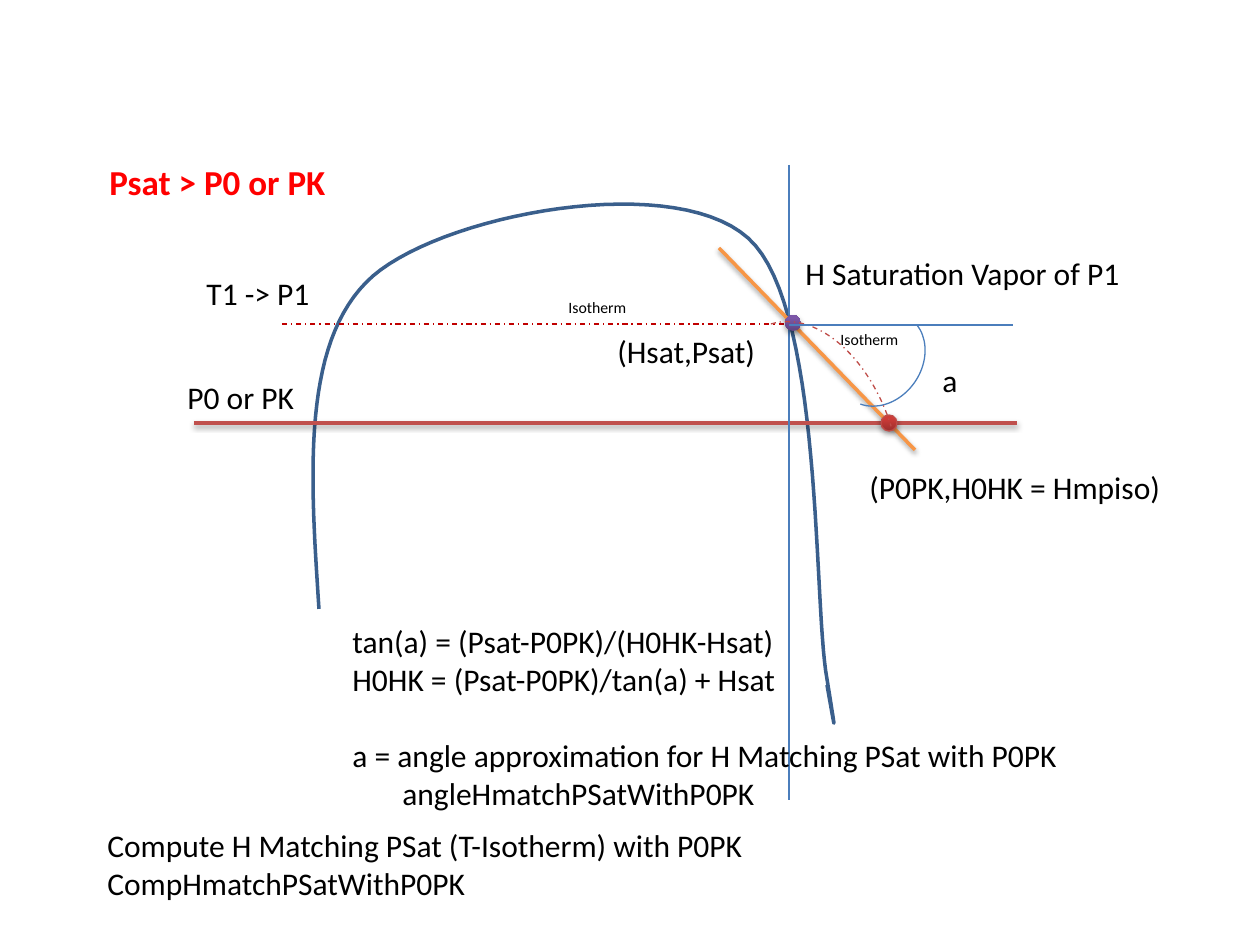
from dataclasses import dataclass

from lxml.etree import SubElement
from pptx import Presentation
from pptx.dml.color import RGBColor
from pptx.enum.dml import MSO_LINE as Dash
from pptx.enum.shapes import MSO_CONNECTOR as Connector, MSO_SHAPE as Preset
from pptx.enum.text import MSO_AUTO_SIZE as AutoSize
from pptx.oxml.ns import qn
from pptx.util import Emu, Pt

EMU_PER_PX = 914400 / 126


@dataclass(frozen=True)
class Theme:
    font: str = "Calibri"
    text: str = "000000"
    heading: str = "FF0000"
    curve: str = "3A5F8C"
    guide: str = "4B7EBC"
    pressure: str = "C0504D"
    isotherm: str = "C00000"
    isotherm_arc: str = "BF4C48"
    tangent: str = "F79646"
    red_dot: tuple = ("9C2F2D", "CE3B37")
    purple_dot: tuple = ("5F4480", "7C57A8")
    note_size: int = 9
    body_size: int = 18
    heading_size: int = 20
    line_height: int = 22
    thin: float = 0.75
    thick: float = 2


THEME = Theme()


def px(value):
    return Emu(round(value * EMU_PER_PX))


def rgb(color):
    return RGBColor.from_string(color)


def style_line(shape, color, width, dash=None):
    shape.line.color.rgb = rgb(color)
    shape.line.width = Pt(width)
    if dash:
        shape.line.dash_style = dash


def set_effects(shape, alpha=None):
    """Close the shape properties with a soft shadow, or with no effect."""
    effects = SubElement(shape._element.spPr, qn("a:effectLst"))
    if alpha:
        shadow = SubElement(effects, qn("a:outerShdw"), blurRad=str(Pt(3.1)),
                            dist=str(Pt(1.6)), dir="5400000", rotWithShape="0")
        color = SubElement(shadow, qn("a:srgbClr"), val="000000")
        SubElement(color, qn("a:alpha"), val=str(alpha * 1000))


def add_line(slide, start, end, color, width=THEME.thin, dash=None, shadow=None):
    line = slide.shapes.add_connector(
        Connector.STRAIGHT, *map(px, start), *map(px, end))
    style_line(line, color, width, dash)
    set_effects(line, shadow)


def add_arc(slide, box, rotation, angles, color, dash=None):
    arc = slide.shapes.add_shape(Preset.ARC, *map(px, box))
    arc.rotation = rotation
    for index, angle in enumerate(angles):
        arc.adjustments[index] = angle
    arc.fill.background()
    style_line(arc, color, THEME.thin, dash)
    set_effects(arc)


def add_dot(slide, left, top, colors, outline=None):
    dot = slide.shapes.add_shape(Preset.OVAL, px(left), px(top), px(16), px(16))
    dot.fill.gradient()
    dot.fill.gradient_angle = 90
    for stop, color, position in zip(dot.fill.gradient_stops, colors, (0, 0.8)):
        stop.color.rgb = rgb(color)
        stop.position = position
    if outline:
        style_line(dot, outline, THEME.thin)
    else:
        dot.line.fill.background()
    set_effects(dot, alpha=35)


def bezier_points(start, controls, steps=30):
    """Points along one cubic curve, without its start."""
    corners = (start, *controls)
    for step in range(1, steps + 1):
        t = step / steps
        weights = ((1 - t) ** 3, 3 * t * (1 - t) ** 2, 3 * t ** 2 * (1 - t), t ** 3)
        yield tuple(sum(w * corner[axis] for w, corner in zip(weights, corners))
                    for axis in (0, 1))


def add_curve(slide, start, segments, color):
    points = [start]
    for controls in segments:
        points.extend(bezier_points(points[-1], controls))
    emu_points = [(px(x), px(y)) for x, y in points]
    builder = slide.shapes.build_freeform(*emu_points[0])
    builder.add_line_segments(emu_points[1:], close=False)
    curve = builder.convert_to_shape()
    curve.fill.background()
    style_line(curve, color, THEME.thick)
    set_effects(curve)


def add_text(slide, box, lines, size=THEME.body_size, color=THEME.text, bold=False):
    frame = slide.shapes.add_textbox(*map(px, box)).text_frame
    frame.word_wrap = False
    frame.auto_size = AutoSize.SHAPE_TO_FIT_TEXT
    for index, line in enumerate(lines):
        paragraph = frame.add_paragraph() if index else frame.paragraphs[0]
        run = paragraph.add_run()
        run.text = line
        run.font.name = THEME.font
        run.font.size = Pt(size)
        run.font.bold = bold
        run.font.color.rgb = rgb(color)
    return frame.paragraphs


def main():
    presentation = Presentation()
    presentation.slide_width, presentation.slide_height = px(1260), px(945)
    slide = presentation.slides.add_slide(presentation.slide_layouts[6])

    # Saturation dome
    add_curve(slide, (319, 609), [
        ((310, 474), (301, 339), (373, 276)),
        ((445, 214), (673, 171), (748, 238)),
        ((824, 305), (813, 605), (827, 679)),
        ((839, 753), (833, 719), (827, 685)),
    ], THEME.curve)

    # Pressure level, isotherm, saturation enthalpy and tangent
    add_line(slide, (194, 423), (1017, 423), THEME.pressure, THEME.thick, shadow=38)
    add_line(slide, (282, 324), (793, 324), THEME.isotherm, dash=Dash.DASH_DOT)
    add_line(slide, (789, 165), (789, 800), THEME.guide)
    add_line(slide, (719, 248), (915, 450), THEME.tangent, THEME.thick, shadow=38)

    # Angle and the two state points
    add_arc(slide, (840, 309, 82, 100), 34.7, (169.15, 47.94), THEME.guide)
    add_dot(slide, 881, 415, THEME.red_dot, THEME.isotherm_arc)
    add_dot(slide, 785, 315, THEME.purple_dot)
    add_arc(slide, (726, 318, 169, 267), 342.7, (162.03, 0),
            THEME.isotherm_arc, Dash.DASH_DOT)
    add_line(slide, (789, 325), (1013, 325), THEME.guide)

    # Labels
    for box, label in (
        ((175, 372, 134, 50), "P0 or PK"),
        ((194, 268, 130, 50), "T1 -> P1"),
        ((793, 248, 344, 50), "H Saturation Vapor of P1"),
        ((930, 355, 48, 50), "a"),
        ((605, 326, 164, 50), "(Hsat,Psat)"),
        ((857, 462, 320, 50), "(P0PK,H0HK = Hmpiso)"),
    ):
        add_text(slide, box, [label])
    for left, top in ((828, 324), (556, 292)):
        add_text(slide, (left, top, 84, 32), ["Isotherm"], THEME.note_size)

    # Formulas, with a gap before the definition and an indented name
    formulas = add_text(slide, (340, 616, 738, 204), [
        "tan(a) = (Psat-P0PK)/(H0HK-Hsat)",
        "H0HK = (Psat-P0PK)/tan(a) + Hsat",
        "a = angle approximation for H Matching PSat with P0PK",
        "angleHmatchPSatWithP0PK",
    ])
    formulas[2].space_before = Pt(THEME.line_height)
    formulas[3]._p.get_or_add_pPr().set("marL", str(px(50)))

    # Summary and heading
    add_text(slide, (95, 820, 678, 89), [
        "Compute H Matching PSat (T-Isotherm) with P0PK",
        "CompHmatchPSatWithP0PK",
    ])
    add_text(slide, (97, 154, 243, 55), ["Psat > P0 or PK"],
             THEME.heading_size, THEME.heading, bold=True)

    presentation.save("out.pptx")


if __name__ == "__main__":
    main()
